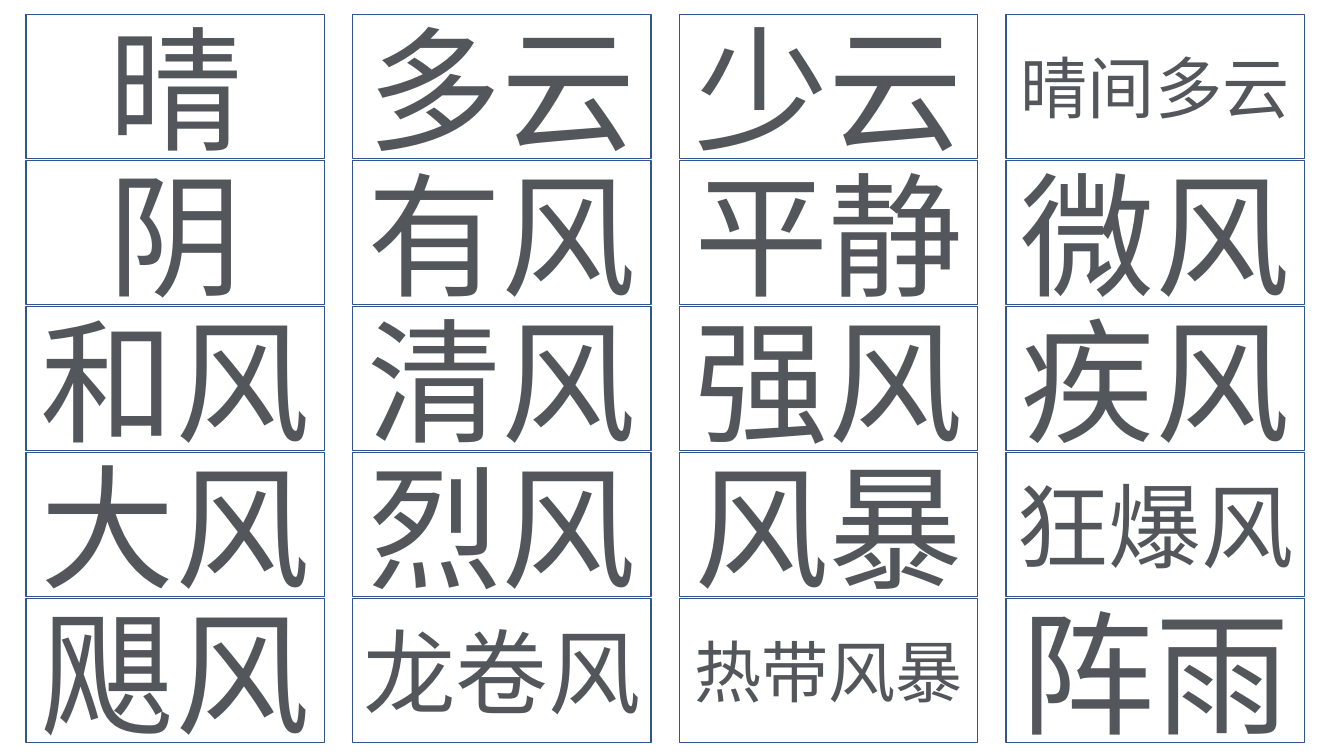
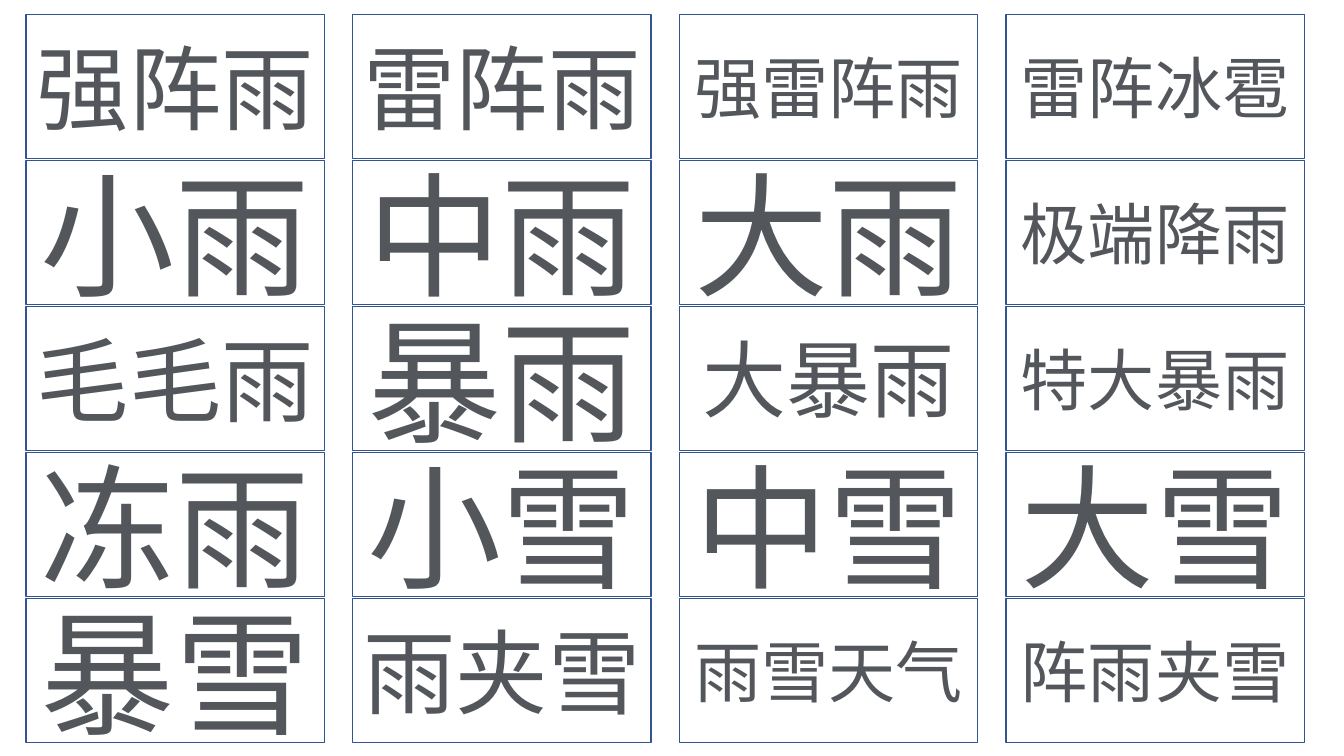
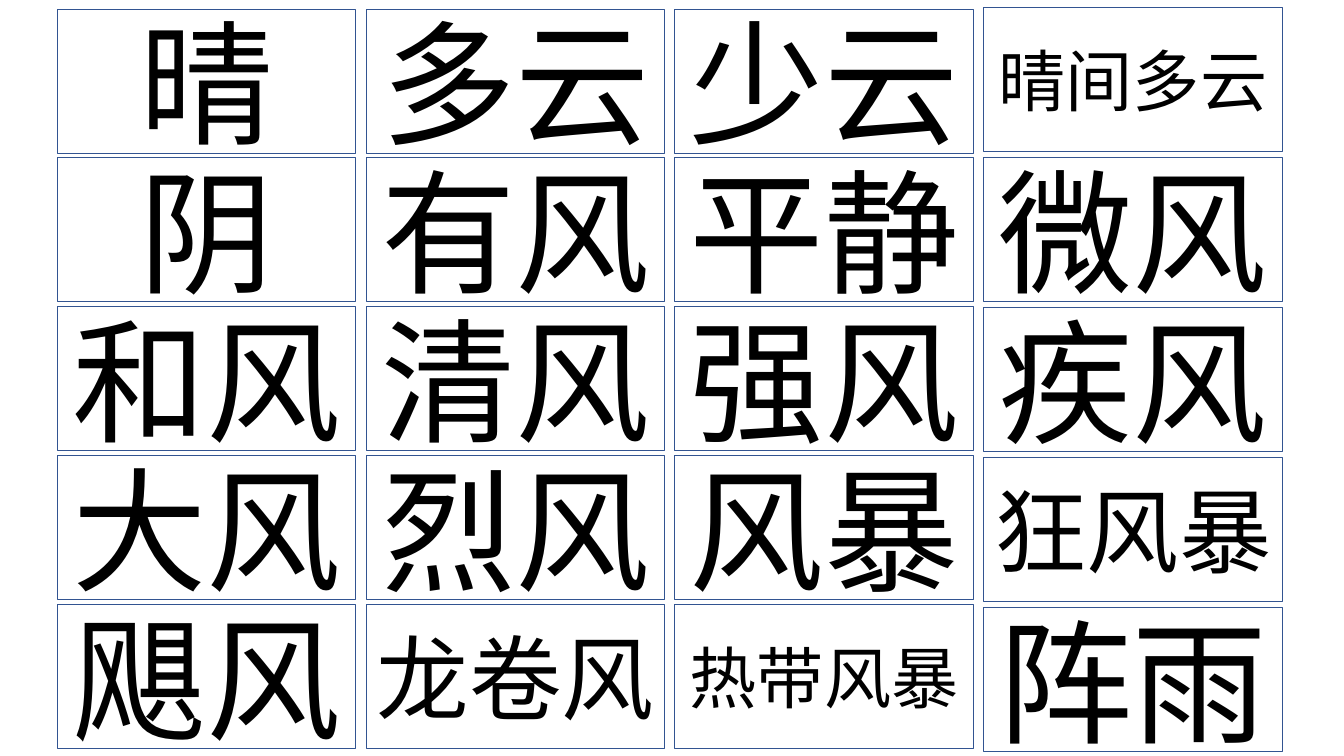
"""Build three slides of weather-word cards laid out in grids."""
import pptx
import pptx.dml.color
import pptx.enum.lang
import pptx.enum.shapes
import pptx.enum.text
import pptx.util
import lxml.etree
import pptx.oxml.ns

Cm = pptx.util.Cm
Pt = pptx.util.Pt
BORDER = pptx.dml.color.RGBColor(0x32, 0x54, 0x91)
DARK_GREY = pptx.dml.color.RGBColor(0x53, 0x57, 0x5C)
LIGHT_GREY = pptx.dml.color.RGBColor(0xC5, 0xC7, 0xCA)
BLACK = pptx.dml.color.RGBColor(0, 0, 0)
CJK_FONT = "Noto Sans CJK SC"

CARD_WIDTH, CARD_HEIGHT = 7.52, 3.63
SIZE_BY_LENGTH = {1: 96, 2: 96, 3: 66, 4: 48}
SPECIAL_SIZES = {"大暴雨": 60}

wide_grid = dict(left=0.66, column_step=8.23, tops=[0.36] * 4, row_steps=[3.68] * 4)
tight_grid = dict(left=1.45, column_step=7.78, tops=[0.23] * 3 + [0.2],
                  row_steps=[3.75] * 3 + [3.78])
grey_style = dict(font=CJK_FONT, colors=(DARK_GREY, LIGHT_GREY), border_width=1)
black_style = dict(font="Calibri", colors=(BLACK,), border_width=0.75)

pages = [
    (wide_grid, grey_style, [
        "晴 多云 少云 晴间多云",
        "阴 有风 平静 微风",
        "和风 清风 强风 疾风",
        "大风 烈风 风暴 狂爆风",
        "飓风 龙卷风 热带风暴 阵雨",
    ]),
    (wide_grid, grey_style, [
        "强阵雨 雷阵雨 强雷阵雨 雷阵冰雹",
        "小雨 中雨 大雨 极端降雨",
        "毛毛雨 暴雨 大暴雨 特大暴雨",
        "冻雨 小雪 中雪 大雪",
        "暴雪 雨夹雪 雨雪天气 阵雨夹雪",
    ]),
    (tight_grid, black_style, [
        "晴 多云 少云 晴间多云",
        "阴 有风 平静 微风",
        "和风 清风 强风 疾风",
        "大风 烈风 风暴 狂风暴",
        "飓风 龙卷风 热带风暴 阵雨",
    ]),
]


def add_card(slide, text, left, top, font, colors, border_width):
    card = slide.shapes.add_shape(pptx.enum.shapes.MSO_SHAPE.RECTANGLE,
                                  Cm(left), Cm(top), Cm(CARD_WIDTH), Cm(CARD_HEIGHT))
    card.shadow.inherit = False
    card.fill.background()
    card.line.color.rgb = BORDER
    card.line.width = Pt(border_width)

    frame = card.text_frame
    frame.margin_left = frame.margin_right = frame.margin_top = frame.margin_bottom = 0
    frame.vertical_anchor = pptx.enum.text.MSO_ANCHOR.MIDDLE
    paragraph = frame.paragraphs[0]
    paragraph.alignment = pptx.enum.text.PP_ALIGN.CENTER
    word = paragraph.add_run()
    word.text = text
    word.font.size = Pt(SPECIAL_SIZES.get(text, SIZE_BY_LENGTH[len(text)]))
    word.font.language_id = pptx.enum.lang.MSO_LANGUAGE_ID.SIMPLIFIED_CHINESE
    word.font.name = font
    if len(colors) == 1:
        word.font.color.rgb = colors[0]
    else:
        word.font.fill.gradient()
        word.font.fill.gradient_angle = 270
        for stop, color, position in zip(word.font.fill.gradient_stops, colors, (0.21, 0.88)):
            stop.color.rgb = color
            stop.position = position
    lxml.etree.SubElement(word.font._element, pptx.oxml.ns.qn("a:ea"), typeface=CJK_FONT)


presentation = pptx.Presentation()
presentation.slide_width = Cm(33.87)
presentation.slide_height = Cm(19.05)
blank_layout = presentation.slide_layouts[6]

for grid, style, rows in pages:
    slide = presentation.slides.add_slide(blank_layout)
    for row, words in enumerate(rows):
        for column, text in enumerate(words.split()):
            add_card(slide, text,
                     left=grid["left"] + column * grid["column_step"],
                     top=grid["tops"][column] + row * grid["row_steps"][column],
                     **style)

presentation.save("out.pptx")
